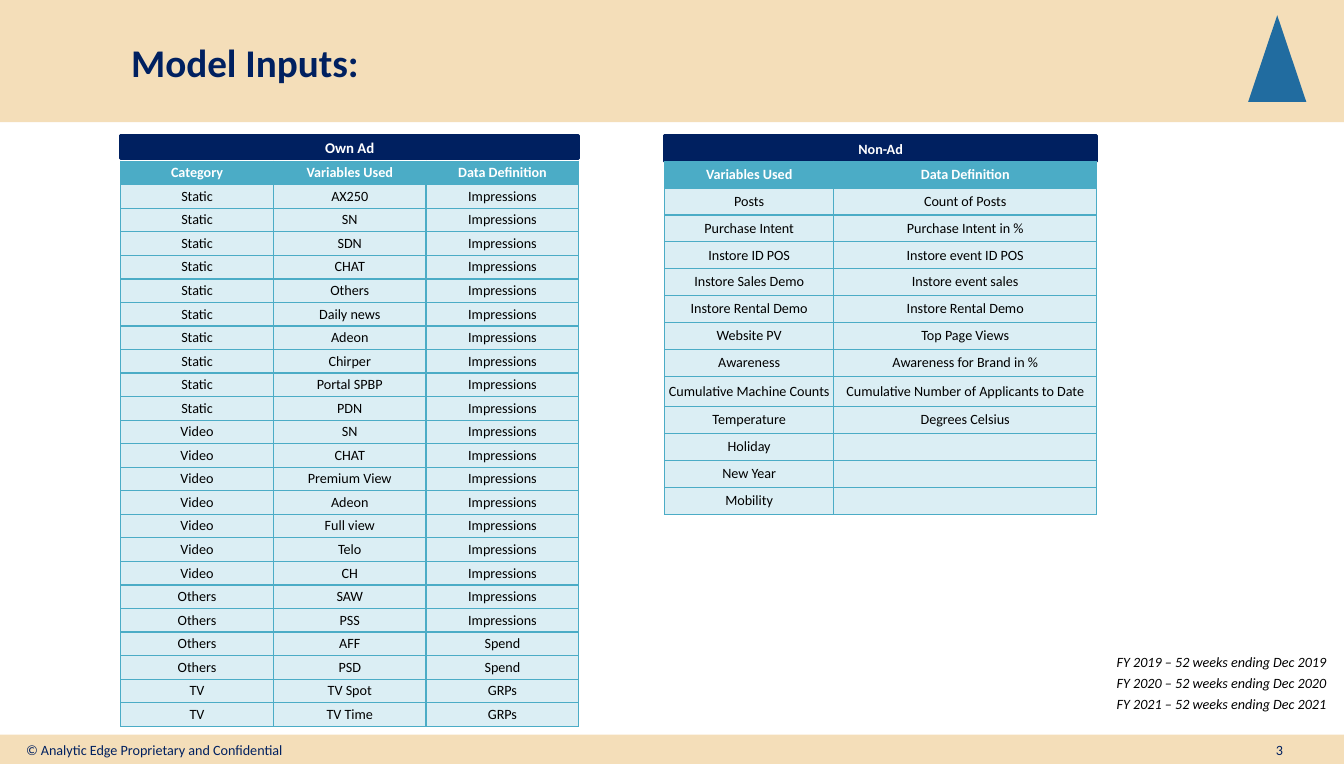
from dataclasses import dataclass
from itertools import product

from lxml.etree import SubElement
from pptx import Presentation
from pptx.dml.color import RGBColor
from pptx.enum.shapes import MSO_SHAPE
from pptx.enum.text import MSO_ANCHOR, PP_ALIGN
from pptx.oxml.ns import qn
from pptx.util import Cm, Pt


@dataclass(frozen=True)
class Theme:
    face: str = "Calibri"
    navy: str = "002060"
    sand: str = "F4DEB9"
    teal: str = "4BACC6"
    pale: str = "DBEEF4"
    blue: str = "216CA0"
    white: str = "FFFFFF"
    black: str = "000000"
    title: float = 27.7
    head: float = 10.5
    body: float = 10
    gap: float = 2.9
    edge: float = 2
    rule: float = 1


THEME = Theme()
WIDE, HIGH = 33.53, 19.05

OWN_HEAD = ("Category", "Variables Used", "Data Definition")
OWN_DATA = (
    ("Static", "Impressions", ("AX250", "SN", "SDN", "CHAT", "Others", "Daily news",
                               "Adeon", "Chirper", "Portal SPBP", "PDN")),
    ("Video", "Impressions", ("SN", "CHAT", "Premium View", "Adeon", "Full view",
                              "Telo", "CH")),
    ("Others", "Impressions", ("SAW", "PSS")),
    ("Others", "Spend", ("AFF", "PSD")),
    ("TV", "GRPs", ("TV Spot", "TV Time")),
)
OTHER_ROWS = (
    ("Variables Used", "Data Definition"),
    ("Posts", "Count of Posts"),
    ("Purchase Intent", "Purchase Intent in %"),
    ("Instore ID POS", "Instore event ID POS"),
    ("Instore Sales Demo", "Instore event sales"),
    ("Instore Rental Demo", "Instore Rental Demo"),
    ("Website PV", "Top Page Views"),
    ("Awareness", "Awareness for Brand in %"),
    ("Cumulative Machine Counts", "Cumulative Number of Applicants to Date"),
    ("Temperature", "Degrees Celsius"),
    ("Holiday", ""),
    ("New Year", ""),
    ("Mobility", ""),
)
YEARS = (2019, 2020, 2021)


def apply(item, **values):
    for name, value in values.items():
        setattr(item, name, value)


def write(frame, lines, color, size=THEME.body, align=PP_ALIGN.LEFT, gap=0, **style):
    """Fill a text frame with one paragraph for each line."""
    for index, line in enumerate(lines):
        para = frame.add_paragraph() if index else frame.paragraphs[0]
        para.alignment = align
        if index and gap:
            para.space_before = Pt(gap)
        if line:
            run = para.add_run()
            run.text = line
            apply(run.font, name=THEME.face, size=Pt(size), **style)
            run.font.color.rgb = RGBColor.from_string(color)
        else:
            SubElement(para._p, qn("a:endParaRPr"), sz=str(int(size * 100)))


def add_text(slide, box, lines, color, anchor=MSO_ANCHOR.TOP, **style):
    frame = slide.shapes.add_textbox(*map(Cm, box)).text_frame
    apply(frame, word_wrap=True, vertical_anchor=anchor)
    write(frame, lines, color, **style)


def add_block(slide, box, fill, kind=MSO_SHAPE.RECTANGLE):
    """Add a plain filled shape with no outline."""
    block = slide.shapes.add_shape(kind, *map(Cm, box))
    block.shadow.inherit = False
    block.fill.solid()
    block.fill.fore_color.rgb = RGBColor.from_string(fill)
    block.line.fill.background()
    return block


def add_rules(cell):
    """Draw the four borders of a cell."""
    props = cell._tc.get_or_add_tcPr()
    for side in ("lnL", "lnR", "lnT", "lnB"):
        line = SubElement(props, qn(f"a:{side}"), w=str(Pt(THEME.rule)))
        fill = SubElement(line, qn("a:solidFill"))
        SubElement(fill, qn("a:srgbClr"), val=THEME.teal)


def add_grid(slide, left, top, rows, widths, heights):
    shape = slide.shapes.add_table(len(rows), len(widths), Cm(left), Cm(top),
                                   Cm(sum(widths)), Cm(sum(heights)))
    table = shape.table
    for column, width in zip(table.columns, widths):
        column.width = Cm(width)
    for row, height in zip(table.rows, heights):
        row.height = Cm(height)
    for y, x in product(range(len(rows)), range(len(widths))):
        cell, head = table.cell(y, x), y == 0
        add_rules(cell)
        cell.fill.solid()
        cell.fill.fore_color.rgb = RGBColor.from_string(THEME.teal if head else THEME.pale)
        apply(cell, vertical_anchor=MSO_ANCHOR.MIDDLE, margin_left=0, margin_right=0,
              margin_top=0, margin_bottom=0)
        write(cell.text_frame, [rows[y][x]], THEME.white if head else THEME.black,
              align=PP_ALIGN.CENTER, bold=head)


def add_panel(slide, box, title, size, rows, widths, heights):
    """Put a navy title bar above a table, at the top left of the box."""
    left, top, bar = box
    label = add_block(slide, (left, top, sum(widths), bar), THEME.navy)
    label.line.color.rgb = RGBColor.from_string(THEME.navy)
    label.line.width = Pt(THEME.edge)
    frame = label.text_frame
    apply(frame, vertical_anchor=MSO_ANCHOR.MIDDLE, margin_top=0, margin_bottom=0)
    write(frame, [title], THEME.white, size=size, align=PP_ALIGN.CENTER, bold=True)
    add_grid(slide, left, top + 0.64, rows, widths, heights)


def add_header(slide, box):
    left, top, width, height = box
    add_block(slide, box, THEME.sand)
    add_block(slide, (left + width - 2.39, top + 0.38, 1.45, 2.16), THEME.blue,
              MSO_SHAPE.ISOSCELES_TRIANGLE)
    add_text(slide, (left + 3.02, top + 0.46, 27.56, 2.18), ["Model Inputs:"],
             THEME.navy, MSO_ANCHOR.MIDDLE, size=THEME.title, bold=True)


def add_footer(slide, box):
    left, top, width, height = box
    add_block(slide, box, THEME.sand)
    add_text(slide, (left + 0.4, top + 0.03, 7.4, height),
             ["© Analytic Edge Proprietary and Confidential"], THEME.navy)
    add_text(slide, (left + width - 2.41, top + 0.03, 1.6, height), ["3"],
             THEME.navy, align=PP_ALIGN.CENTER)


def add_notes(slide, box):
    lines = [f"FY {year} – 52 weeks ending Dec {year}" for year in YEARS]
    add_text(slide, box, lines, THEME.black, MSO_ANCHOR.MIDDLE,
             gap=THEME.gap, italic=True)


def main():
    deck = Presentation()
    apply(deck, slide_width=Cm(WIDE), slide_height=Cm(HIGH))
    slide = deck.slides.add_slide(deck.slide_layouts[6])
    add_header(slide, (0, 0, WIDE, 3.05))
    add_footer(slide, (0, 18.32, WIDE, HIGH - 18.32))

    own = [OWN_HEAD] + [(group, name, unit) for group, unit, names in OWN_DATA
                        for name in names]
    add_panel(slide, (3.01, 3.38, 0.58), "Own Ad", THEME.head, own,
              [3.81] * 3, [14.1 / len(own)] * len(own))
    tall = [0.76 if row[0].startswith("Cumulative") else 0.67 for row in OTHER_ROWS]
    add_panel(slide, (16.58, 3.38, 0.64), "Non-Ad", THEME.body, OTHER_ROWS,
              [4.22, 6.56], tall)
    add_notes(slide, (27.61, 15.6, 5.92, 2.87))
    deck.save("out.pptx")


if __name__ == "__main__":
    main()
